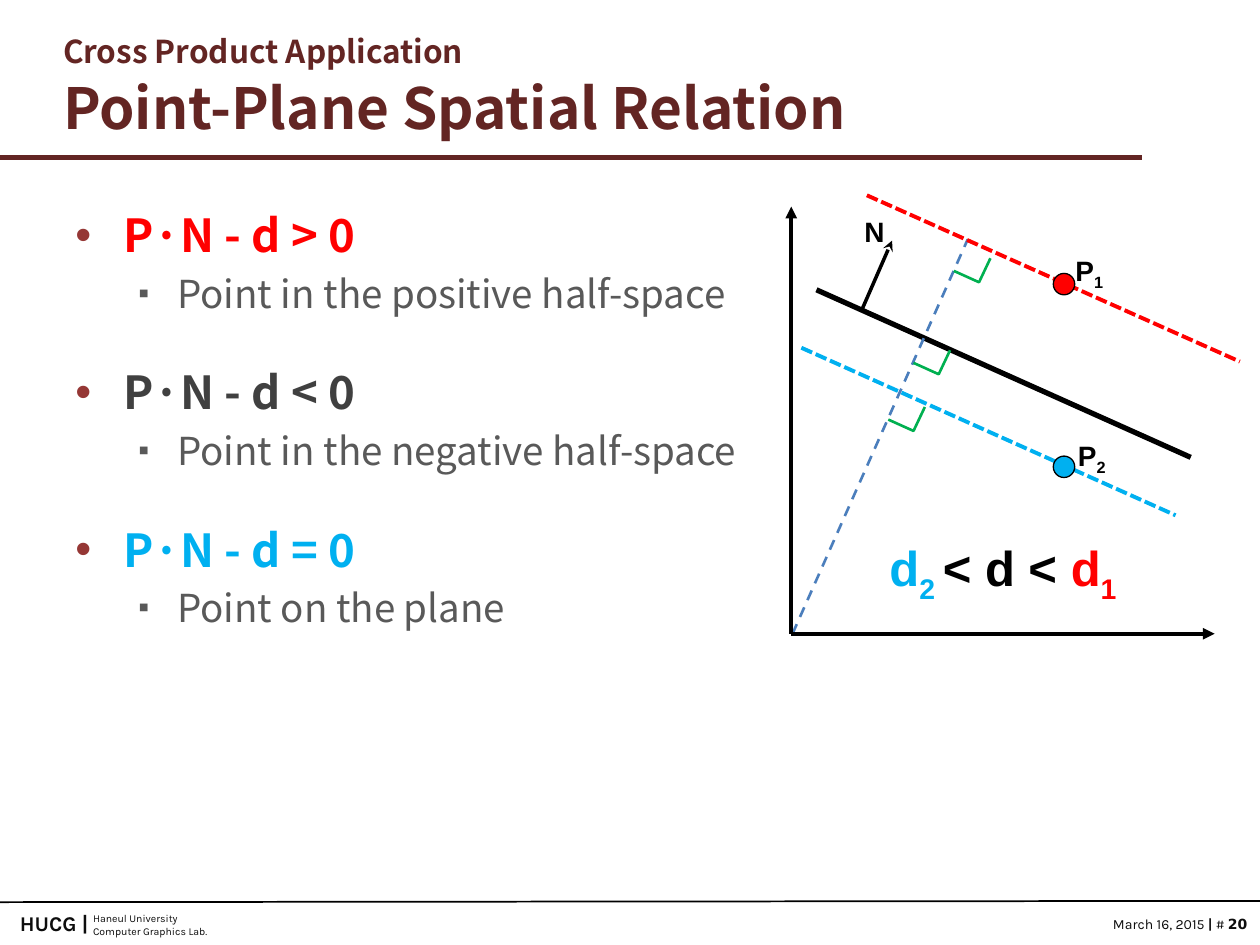
from dataclasses import dataclass
from typing import Optional

from lxml import etree
from pptx import Presentation
from pptx.dml.color import RGBColor
from pptx.enum import dml, shapes, text
from pptx.oxml import ns
from pptx.util import Inches, Pt


@dataclass(frozen=True)
class Theme:
    maroon: str = "632523"
    bullet: str = "953735"
    red: str = "FF0000"
    cyan: str = "00B0F0"
    green: str = "00B050"
    blue: str = "4B7EBC"
    dark: str = "404040"
    gray: str = "595959"
    ink: str = "0D0D0D"
    black: str = "000000"
    body_font: str = "Noto Sans CJK KR"
    label_font: str = "Arial"
    footer_font: str = "Karla"
    number_font: str = "DejaVu Sans"
    kicker: float = 18
    title: float = 32.4
    head: float = 26
    sub: float = 22
    label: float = 16
    formula: float = 28


T = Theme()


@dataclass(frozen=True)
class Run:
    text: str
    size: float
    color: str = T.black
    font: str = T.label_font
    bold: bool = True
    subscript: bool = False


@dataclass(frozen=True)
class Line:
    start: tuple[float, float]
    end: tuple[float, float]
    color: str
    width: float
    dash: Optional[dml.MSO_LINE] = None
    head: Optional[str] = None


@dataclass(frozen=True)
class Label:
    box: tuple[float, float, float, float]
    paragraphs: list[list[Run]]
    align: text.PP_ALIGN = text.PP_ALIGN.CENTER
    wrap: bool = False


@dataclass(frozen=True)
class Case:
    formula: str
    meaning: str
    color: str


@dataclass(frozen=True)
class Level:
    indent: float
    hang: float
    height: float
    before: float
    bullet: str
    bullet_color: str
    bullet_size: int


HEAD = Level(0.38, 0.38, 33.9, 25, "•", T.bullet, 100)
SUB = Level(0.81, 0.31, 28, 2.8, "▪", T.gray, 80)

CASES = [
    Case("P·N - d > 0", "Point in the positive half-space", T.red),
    Case("P·N - d < 0", "Point in the negative half-space", T.dark),
    Case("P·N - d = 0", "Point on the plane", T.cyan),
]

RULES = [
    Line((0, 1.25), (9.06, 1.25), T.maroon, 3),
    Line((0, 7.16), (10, 7.15), T.black, 1),
]

DIAGRAM = [
    Line((6.36, 2.76), (9.33, 4.09), T.cyan, 2.25, dml.MSO_LINE.SQUARE_DOT),
    Line((6.48, 2.3), (9.45, 3.63), T.black, 3),
    Line((6.84, 2.46), (7.08, 1.91), T.black, 2, head="stealth"),
    Line((6.29, 5.03), (7.68, 1.9), T.blue, 1.5, dml.MSO_LINE.DASH),
    Line((6.28, 5.03), (6.28, 1.64), T.black, 2.25, head="triangle"),
    Line((6.28, 5.03), (9.64, 5.03), T.black, 2.25, head="triangle"),
    Line((6.88, 1.55), (9.84, 2.87), T.red, 2.25, dml.MSO_LINE.SQUARE_DOT),
]

RIGHT_ANGLES = [(7.57, 2.15), (7.25, 2.88), (7.05, 3.33)]
POINTS = [(8.36, 2.17, T.red), (8.36, 3.62, T.cyan)]


def footer(content: str, size: float, bold: bool = False, font: str = T.footer_font) -> Run:
    return Run(content, size, T.ink, font, bold)


def point_label(number: str) -> list[Run]:
    return [Run("P", T.label), Run(number, T.label, subscript=True)]


LABELS = [
    Label((0.64, 7.19, 1.4, 0.3),
          [[footer("Haneul University", 6)], [footer("Computer Graphics Lab.", 6)]],
          text.PP_ALIGN.LEFT, True),
    Label((8.5, 7.22, 1.5, 0.24),
          [[footer("March 16, 2015 ", 8), footer("|", 8, True), footer(" # ", 8),
            footer("20", 8, True, T.number_font)]],
          text.PP_ALIGN.RIGHT),
    Label((-0.04, 7.18, 0.84, 0.3), [[footer("HUCG |", 12, True)]], text.PP_ALIGN.RIGHT),
    Label((6.75, 1.65, 0.38, 0.37), [[Run("N", T.label)]]),
    Label((8.43, 1.96, 0.43, 0.37), [point_label("1")]),
    Label((8.45, 3.43, 0.43, 0.37), [point_label("2")]),
    Label((6.78, 4.22, 2.36, 0.57),
          [[Run("d", T.formula, T.cyan), Run("2 ", T.formula, T.cyan, subscript=True),
            Run("< d < ", T.formula), Run("d", T.formula, T.red),
            Run("1", T.formula, T.red, subscript=True)]]),
]


def rgb(value: str) -> RGBColor:
    return RGBColor.from_string(value)


def add_run(p, run: Run) -> None:
    r = p.add_run()
    r.text = run.text
    r.font.size, r.font.bold, r.font.name = Pt(run.size), run.bold, run.font
    r.font.color.rgb = rgb(run.color)
    if run.subscript:
        r.font._element.set("baseline", "-25000")


def next_paragraph(tf, index: int):
    return tf.add_paragraph() if index else tf.paragraphs[0]


def add_label(slide, label: Label) -> None:
    tf = slide.shapes.add_textbox(*map(Inches, label.box)).text_frame
    tf.word_wrap = label.wrap
    for i, runs in enumerate(label.paragraphs):
        p = next_paragraph(tf, i)
        p.alignment = label.align
        for run in runs:
            add_run(p, run)


def add_line(slide, line: Line) -> None:
    sp = slide.shapes.add_connector(
        shapes.MSO_CONNECTOR.STRAIGHT, *map(Inches, line.start + line.end))
    sp.line.color.rgb, sp.line.width = rgb(line.color), Pt(line.width)
    if line.dash:
        sp.line.dash_style = line.dash
    if line.head:
        etree.SubElement(sp.line._get_or_add_ln(), ns.qn("a:tailEnd"), type=line.head)
    etree.SubElement(sp._element.spPr, ns.qn("a:effectLst"))


def add_right_angle(slide, x: float, y: float) -> None:
    fb = slide.shapes.build_freeform(Inches(x), Inches(y))
    corners = [(x + 0.2, y + 0.09), (x + 0.29, y - 0.1)]
    fb.add_line_segments([(Inches(a), Inches(b)) for a, b in corners], close=False)
    sp = fb.convert_to_shape()
    sp.shadow.inherit = False
    sp.fill.background()
    sp.line.color.rgb, sp.line.width = rgb(T.green), Pt(1.5)


def add_point(slide, x: float, y: float, color: str) -> None:
    sp = slide.shapes.add_shape(
        shapes.MSO_SHAPE.OVAL, Inches(x), Inches(y), Inches(0.17), Inches(0.17))
    sp.shadow.inherit = False
    sp.fill.solid()
    sp.fill.fore_color.rgb = rgb(color)
    sp.line.color.rgb, sp.line.width = rgb(T.black), Pt(0.75)


def set_title(slide) -> None:
    sp = slide.shapes.title
    sp.left, sp.top, sp.width, sp.height = map(Inches, (0.3, 0.25, 9, 0.87))
    tf = sp.text_frame
    tf.margin_left, tf.margin_top, tf.margin_bottom = Inches(0.2), 0, 0
    tf.vertical_anchor = text.MSO_ANCHOR.BOTTOM
    lines = [("Cross Product Application", T.kicker, 20),
             ("Point-Plane Spatial Relation", T.title, 40.7)]
    for i, (content, size, height) in enumerate(lines):
        p = next_paragraph(tf, i)
        p.alignment, p.line_spacing, p.space_before = text.PP_ALIGN.LEFT, Pt(height), Pt(0)
        add_run(p, Run(content, size, T.maroon, T.body_font))


def format_bullet(p, level: Level) -> None:
    p.line_spacing, p.space_before = Pt(level.height), Pt(level.before)
    pPr = p._p.get_or_add_pPr()
    pPr.set("marL", str(Inches(level.indent)))
    pPr.set("indent", str(-Inches(level.hang)))
    color = etree.SubElement(pPr, ns.qn("a:buClr"))
    etree.SubElement(color, ns.qn("a:srgbClr"), val=level.bullet_color)
    etree.SubElement(pPr, ns.qn("a:buSzPct"), val=str(level.bullet_size * 1000))
    etree.SubElement(pPr, ns.qn("a:buFont"), typeface=T.label_font)
    etree.SubElement(pPr, ns.qn("a:buChar"), char=level.bullet)


def add_cases(slide) -> None:
    tf = slide.shapes.add_textbox(*map(Inches, (0.5, 1.56, 9, 5.31))).text_frame
    tf.word_wrap = True
    for i, case in enumerate(CASES):
        head, sub = next_paragraph(tf, i), tf.add_paragraph()
        format_bullet(head, HEAD)
        add_run(head, Run(case.formula, T.head, case.color, T.body_font))
        format_bullet(sub, SUB)
        add_run(sub, Run(case.meaning, T.sub, T.gray, T.body_font, False))
    tf.paragraphs[0].space_before = Pt(0)


def main() -> None:
    prs = Presentation()
    prs.slide_width, prs.slide_height = Inches(10), Inches(7.5)
    slide = prs.slides.add_slide(prs.slide_layouts[5])
    set_title(slide)
    add_cases(slide)
    for line in RULES + DIAGRAM:
        add_line(slide, line)
    for corner in RIGHT_ANGLES:
        add_right_angle(slide, *corner)
    for point in POINTS:
        add_point(slide, *point)
    for label in LABELS:
        add_label(slide, label)
    prs.save("out.pptx")


if __name__ == "__main__":
    main()
